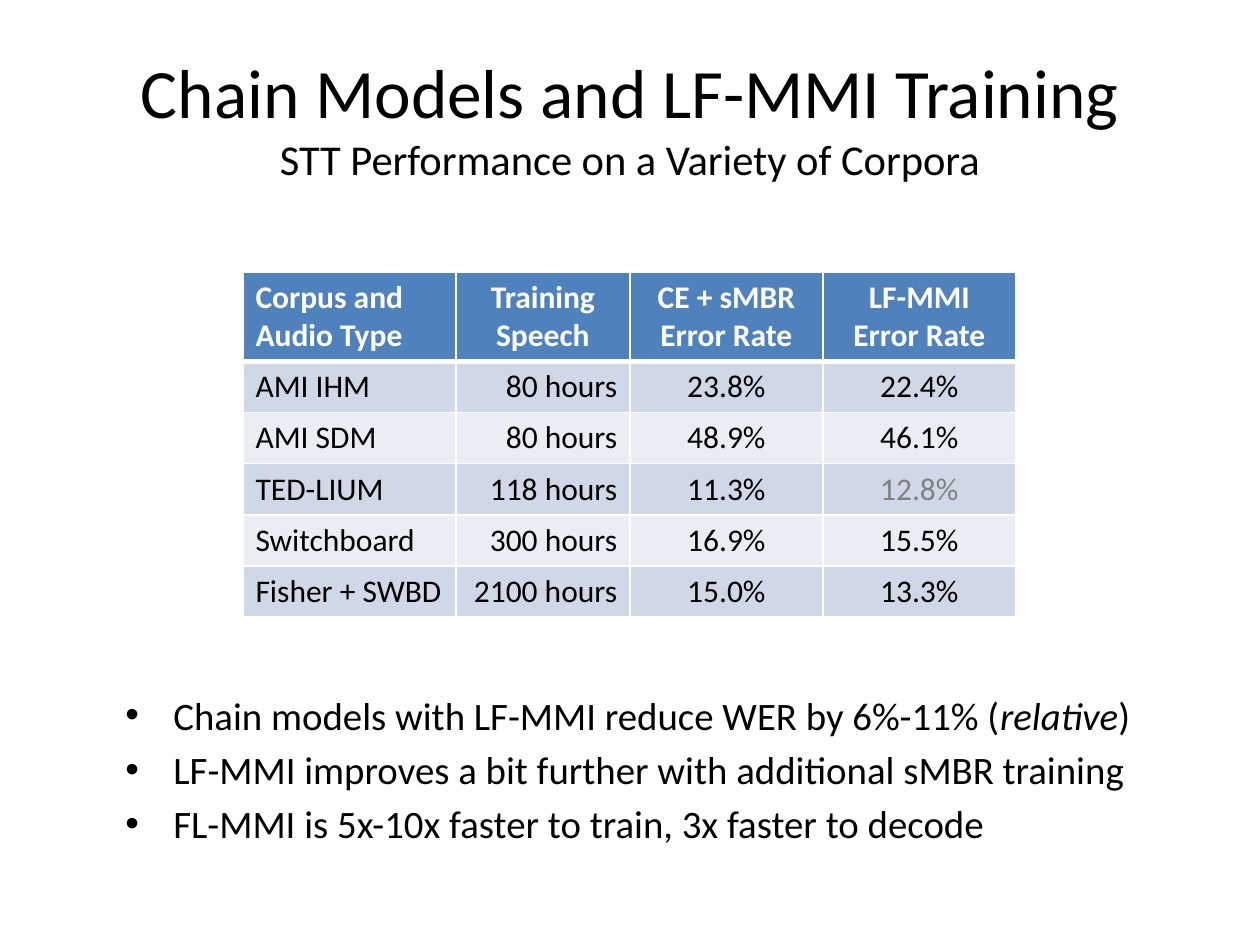
"""Build the slide on chain models and LF-MMI training results."""
from lxml import etree
from pptx import Presentation
from pptx import util as u
from pptx.dml.color import RGBColor
from pptx.enum import text
from pptx.oxml.ns import qn

PX = 914400 // 126
BLACK = RGBColor(0x00, 0x00, 0x00)
WHITE = RGBColor(0xFF, 0xFF, 0xFF)
GRAY = RGBColor(0x80, 0x80, 0x80)
BLUE = RGBColor(0x4F, 0x81, 0xBD)
BAND_DARK = RGBColor(0xD0, 0xD8, 0xE8)
BAND_LIGHT = RGBColor(0xE9, 0xED, 0xF4)
LEFT, CENTER, RIGHT = text.PP_ALIGN.LEFT, text.PP_ALIGN.CENTER, text.PP_ALIGN.RIGHT


def set_font(font, size, color):
    font.name = "Calibri"
    font.size = u.Pt(size)
    font.color.rgb = color


def add_border(cell, side, points):
    line = etree.SubElement(cell._tc.get_or_add_tcPr(), qn(f"a:ln{side}"), w=str(u.Pt(points)))
    fill = etree.SubElement(line, qn("a:solidFill"))
    etree.SubElement(fill, qn("a:srgbClr"), val=str(WHITE))


presentation = Presentation()
presentation.slide_width = 1260 * PX
presentation.slide_height = 945 * PX
slide = presentation.slides.add_slide(presentation.slide_layouts[5])

title = slide.shapes.title
title.left, title.top, title.width, title.height = 63 * PX, 38 * PX, 1134 * PX, 157 * PX
title.text_frame.auto_size = text.MSO_AUTO_SIZE.NONE
title.text_frame.vertical_anchor = text.MSO_ANCHOR.MIDDLE
paragraph = title.text_frame.paragraphs[0]
paragraph.alignment = CENTER
heading = paragraph.add_run()
heading.text = "Chain Models and LF-MMI Training"
set_font(heading.font, 39.6, BLACK)
paragraph.add_line_break()
subheading = paragraph.add_run()
subheading.text = "STT Performance on a Variety of Corpora"
set_font(subheading.font, 24.3, BLACK)

results = [
    ["Corpus and Audio Type", "Training Speech", "CE + sMBR Error Rate", "LF-MMI Error Rate"],
    ["AMI IHM", "80 hours", "23.8%", "22.4%"],
    ["AMI SDM", "80 hours", "48.9%", "46.1%"],
    ["TED-LIUM", "118 hours", "11.3%", "12.8%"],
    ["Switchboard", "300 hours", "16.9%", "15.5%"],
    ["Fisher + SWBD", "2100 hours", "15.0%", "13.3%"],
]
column_widths = [213, 174, 193, 193]
row_heights = [89] + [51] * 5
table = slide.shapes.add_table(
    len(results), len(column_widths), 243 * PX, 272 * PX,
    sum(column_widths) * PX, sum(row_heights) * PX,
).table
for column, width in zip(table.columns, column_widths):
    column.width = width * PX
for row, height in zip(table.rows, row_heights):
    row.height = height * PX

for row_index, values in enumerate(results):
    header = row_index == 0
    band = BAND_DARK if row_index % 2 else BAND_LIGHT
    alignments = [LEFT, CENTER if header else RIGHT, CENTER, CENTER]
    for column_index, value in enumerate(values):
        cell = table.cell(row_index, column_index)
        for side in "LRTB":
            thick = (header and side == "B") or (row_index == 1 and side == "T")
            add_border(cell, side, 3 if thick else 1)
        cell.fill.solid()
        cell.fill.fore_color.rgb = BLUE if header else band
        cell.text = value
        paragraph = cell.text_frame.paragraphs[0]
        paragraph.alignment = alignments[column_index]
        color = WHITE if header else GRAY if value == "12.8%" else BLACK
        set_font(paragraph.font, 18, color)
        paragraph.font.bold = header

findings = [
    ["Chain models with LF-MMI reduce WER by 6%-11% (", "relative", ")"],
    ["LF-MMI improves a bit further with additional sMBR training"],
    ["FL-MMI is 5x-10x faster to train, 3x faster to decode"],
]
body = slide.shapes.add_textbox(113 * PX, 685 * PX, 1033 * PX, 194 * PX).text_frame
body.word_wrap = True
for index, parts in enumerate(findings):
    paragraph = body.add_paragraph() if index else body.paragraphs[0]
    if index:
        paragraph.space_before = u.Pt(4.4)
    properties = paragraph._p.get_or_add_pPr()
    properties.set("marL", str(48 * PX))
    properties.set("indent", str(-48 * PX))
    etree.SubElement(properties, qn("a:buFont"), typeface="Arial")
    etree.SubElement(properties, qn("a:buChar"), char="•")
    set_font(paragraph.font, 22.2, BLACK)
    for part in parts:
        run = paragraph.add_run()
        run.text = part
        if part == "relative":
            run.font.italic = True

presentation.save("out.pptx")
